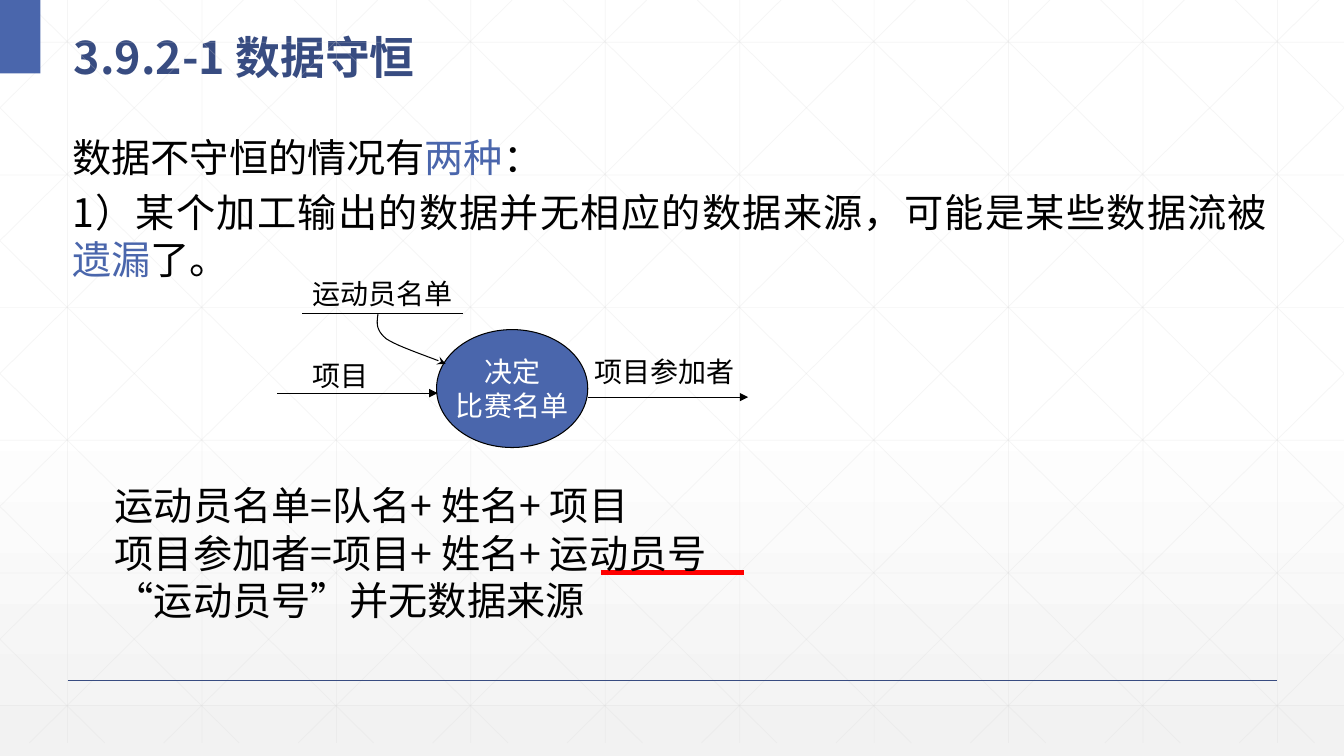
from lxml.etree import SubElement
from pptx import Presentation
from pptx.dml.color import RGBColor
from pptx.enum.shapes import MSO_CONNECTOR, MSO_SHAPE
from pptx.enum.text import MSO_ANCHOR, PP_ALIGN
from pptx.oxml.ns import qn
from pptx.util import Inches, Pt

COLORS = {"navy": "384C81", "blue": "4A66AC", "black": "000000", "white": "FFFFFF",
          "red": "FF0000", "grid": "D9D9D9", "fade": "F2F2F2"}
SANS = "Noto Sans CJK SC"


def rgb(name):
    return RGBColor.from_string(COLORS[name])


def add_line(slide, start, end, color="black", width=0.75, head=None, alpha=None):
    line = slide.shapes.add_connector(MSO_CONNECTOR.STRAIGHT,
                                      *(Inches(v) for v in (*start, *end)))
    line.line.color.rgb = rgb(color)
    line.line.width = Pt(width)
    props = line._element.spPr
    if alpha:
        tint = props.find(".//" + qn("a:srgbClr"))
        SubElement(tint, qn("a:alpha"), val=str(alpha * 1000))
    if head:
        add_head(line, head)
    SubElement(props, qn("a:effectLst"))


def add_head(shape, kind):
    SubElement(shape.line._get_or_add_ln(), qn("a:tailEnd"), type=kind)


def add_run(para, text, size, color="black", font=SANS, bold=False):
    run = para.add_run()
    run.text = text
    run.font.size = Pt(size)
    run.font.name = font
    run.font.bold = bold
    run.font.color.rgb = rgb(color)
    SubElement(run._r.get_or_add_rPr(), qn("a:ea"), typeface=SANS)


def fill_text(frame, paras, size, align, gap=0, font=SANS):
    """Each paragraph is a list of (text, color) runs."""
    for i, runs in enumerate(paras):
        para = frame.paragraphs[0] if i == 0 else frame.add_paragraph()
        para.alignment = align
        if i:
            para.space_before = Pt(gap)
        for text, color in runs:
            add_run(para, text, size, color, font)


def add_text(slide, box, paras, size, align=PP_ALIGN.JUSTIFY, gap=0, font=SANS):
    frame = slide.shapes.add_textbox(*(Inches(v) for v in box)).text_frame
    frame.word_wrap = True
    fill_text(frame, paras, size, align, gap, font)


def add_solid(slide, kind, box, color):
    shape = slide.shapes.add_shape(kind, *(Inches(v) for v in box))
    shape.shadow.inherit = False
    shape.fill.solid()
    shape.fill.fore_color.rgb = rgb(color)
    shape.line.fill.background()
    return shape


def draw_back(slide, wide, high):
    # Fade to grey in the lower half
    fill = slide.background.fill
    fill.gradient()
    fill.gradient_angle = 270
    for stop, spot, color in zip(fill.gradient_stops, (0.53, 1), ("white", "fade")):
        stop.position = spot
        stop.color.rgb = rgb(color)

    # Square grid and both sets of diagonals, cut at the slide edges
    step, run = 4 / 3, 7.455
    lines = [((0.67 + step * i, 0), (0.67 + step * i, high)) for i in range(10)]
    lines += [((0, 0.42 + 1.316 * i), (wide, 0.42 + 1.316 * i)) for i in range(6)]
    for i in range(-5, 10):
        left = 0.25 + step * i
        x1, x2 = max(left, 0), min(left + run, wide)
        y1, y2 = ((x - left) * high / run for x in (x1, x2))
        lines += [((x1, y1), (x2, y2)), ((wide - x1, y1), (wide - x2, y2))]
    for start, end in lines:
        add_line(slide, start, end, "grid", 0.5, alpha=25)

    # Footer rule and corner block
    add_line(slide, (0.67, 6.75), (12.67, 6.75), "navy", 1)
    add_solid(slide, MSO_SHAPE.RECTANGLE, (0, 0, 0.4, 0.73), "blue")


def draw_title(slide, box, text):
    title = slide.shapes.title
    title.left, title.top, title.width, title.height = (Inches(v) for v in box)
    frame = title.text_frame
    frame.vertical_anchor = MSO_ANCHOR.MIDDLE
    para = frame.paragraphs[0]
    para.alignment = PP_ALIGN.LEFT
    para.line_spacing = 1.3
    add_run(para, text, 32, "navy", bold=True)


def draw_curve(slide, start, bends):
    """Trace cubic bends, each given as two handles and an end point."""
    points = []
    for bend in bends:
        knots = (start, *bend)
        for i in range(1, 13):
            t = i / 12
            parts = ((1 - t) ** 3, 3 * t * (1 - t) ** 2, 3 * t * t * (1 - t), t ** 3)
            points.append(tuple(sum(w * k[n] for w, k in zip(parts, knots))
                                for n in (0, 1)))
        start = bend[-1]
    return points


def draw_flow(slide, x, y):
    # Process bubble
    bubble = add_solid(slide, MSO_SHAPE.FLOWCHART_CONNECTOR,
                       (x + 1.58, y + 0.58, 1.5, 1.17), "blue")
    bubble.line.color.rgb = rgb("black")
    bubble.line.width = Pt(0.75)
    frame = bubble.text_frame
    frame.word_wrap = False
    frame.vertical_anchor = MSO_ANCHOR.MIDDLE
    fill_text(frame, [[("决定", "white")], [("比赛名单", "white")]], 20,
              PP_ALIGN.CENTER, font="Arial")

    # Data store and straight flows
    for dx, dy, head in ((0.25, 0.42, None), (0, 1.21, "triangle"), (3.08, 1.25, "triangle")):
        add_line(slide, (x + dx, y + dy), (x + dx + 1.59, y + dy), head=head)
    for text, dx, dy, wide in (("运动员名单", 0.25, 0, 1.67),
                               ("项目参加者", 3.05, 0.78, 1.67),
                               ("项目", 0.25, 0.82, 0.83)):
        add_text(slide, (x + dx, y + dy, wide, 0.43), [[(text, "black")]], 20,
                 PP_ALIGN.LEFT, font="Arial")

    # Curved flow from the store to the bubble
    start = (1, 0.42)
    points = draw_curve(slide, start, [((0.99, 0.5), (0.97, 0.58), (1.08, 0.67)),
                                       ((1.19, 0.75), (1.57, 0.87), (1.67, 0.92))])
    spots = [(Inches(x + px), Inches(y + py)) for px, py in (start, *points)]
    path = slide.shapes.build_freeform(*spots[0])
    path.add_line_segments(spots[1:], close=False)
    curve = path.convert_to_shape()
    curve.shadow.inherit = False
    curve.fill.background()
    curve.line.color.rgb = rgb("black")
    curve.line.width = Pt(0.75)
    add_head(curve, "stealth")


def draw_sums(slide, x, y):
    add_line(slide, (x + 4.92, y + 0.95), (x + 6.34, y + 0.95), "red", 3)
    rows = ("运动员名单=队名+ 姓名+ 项目", "项目参加者=项目+ 姓名+ 运动员号",
            "“运动员号”并无数据来源")
    add_text(slide, (x, y, 7.28, 1.48), [[(row, "black")] for row in rows], 28)


def main():
    deck = Presentation()
    deck.slide_width, deck.slide_height = Inches(13.33), Inches(7.5)
    slide = deck.slides.add_slide(deck.slide_layouts[5])
    draw_back(slide, 13.33, 7.37)
    draw_title(slide, (0.63, 0.12, 11.66, 0.73), "3.9.2-1 数据守恒")
    add_text(slide, (0.62, 1.27, 12.05, 1.6), [
        [("数据不守恒的情况有", "black"), ("两种", "blue"), ("：", "black")],
        [("1）某个加工输出的数据并无相应的数据来源，可能是某些数据流被", "black"),
         ("遗漏", "blue"), ("了。", "black")]], 28, gap=5.6)
    draw_flow(slide, 2.75, 2.69)
    draw_sums(slide, 1.04, 4.73)
    deck.save("out.pptx")


if __name__ == "__main__":
    main()
